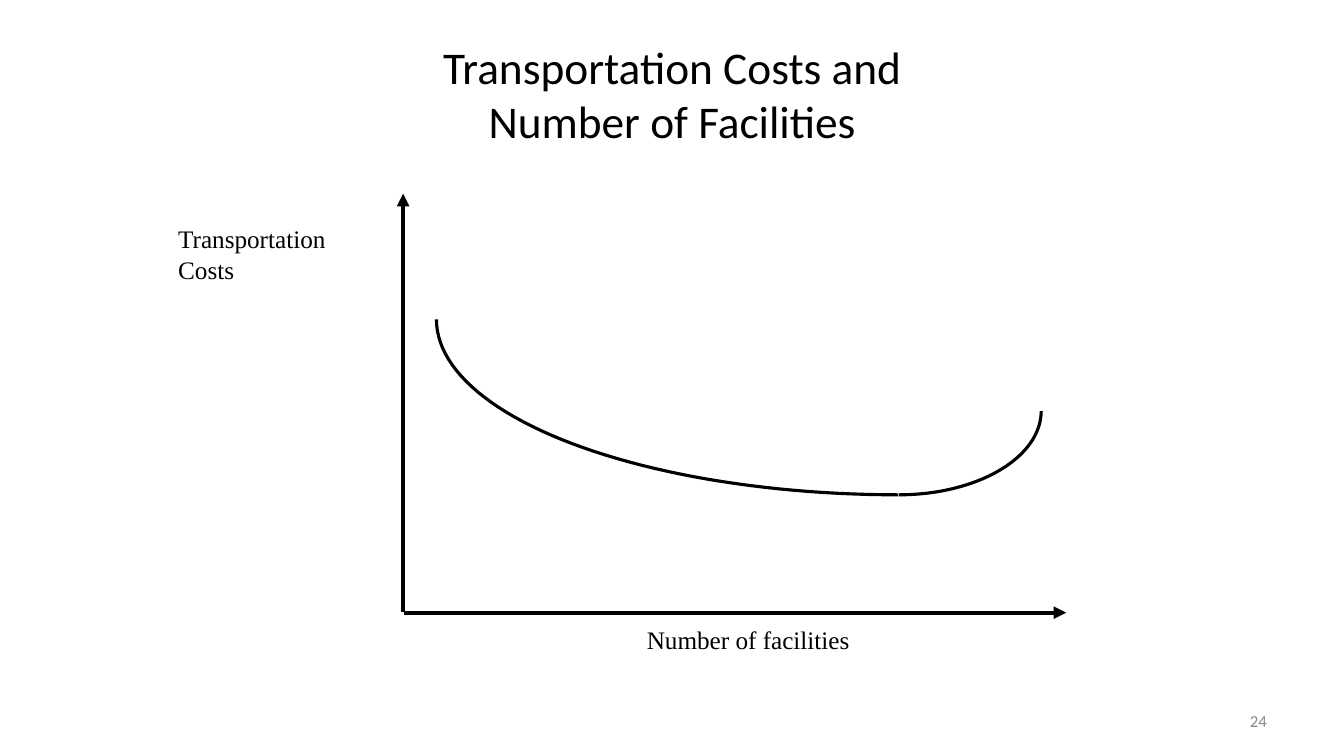
"""Build the slide on transportation costs and number of facilities."""
import math
from dataclasses import dataclass

import pptx
import pptx.dml.color
import pptx.enum.shapes
import pptx.enum.text
import pptx.oxml
import pptx.oxml.ns
import pptx.util

Cm = pptx.util.Cm
Pt = pptx.util.Pt
Align = pptx.enum.text.PP_ALIGN
Anchor = pptx.enum.text.MSO_ANCHOR


@dataclass
class Theme:
    ink: str = "000000"
    gray: str = "898989"
    head: str = "Calibri"
    body: str = "Times New Roman"
    title: float = 32.4
    label: float = 18
    small: float = 12
    axis: float = 3
    curve: float = 2.25


theme = Theme()
SIZE = (33.87, 19.05)
TITLE = ("Transportation Costs and\vNumber of Facilities", (1.7, 0.76, 30.48, 3.18))
LABELS = [
    ("Transportation\nCosts", (4.24, 5.51, 4.27, 1.78)),
    ("Number of facilities", (16.05, 15.6, 5.66, 1.02)),
]
NUMBER = ("24", (24.28, 17.65, 7.9, 1.02))
AXES = [
    ((10.16, 15.43), (10.16, 4.88)),
    ((10.19, 15.44), (26.87, 15.44)),
]
CURVES = [
    {"center": (22.64, 8.05), "radii": (-11.64, 4.42)},
    {"center": (22.66, 10.36), "radii": (3.58, 2.11)},
]
STEPS = 48


def color(code):
    return pptx.dml.color.RGBColor.from_string(code)


def write(frame, text, font, size, ink, align, anchor, wrap):
    frame.text = text
    frame.word_wrap = wrap
    frame.auto_size = pptx.enum.text.MSO_AUTO_SIZE.NONE
    frame.vertical_anchor = anchor
    for para in frame.paragraphs:
        para.alignment = align
        for run in para.runs:
            run.font.name = font
            run.font.size = Pt(size)
            run.font.color.rgb = color(ink)


def add_text(slide, text, box, *style):
    shape = slide.shapes.add_textbox(*map(Cm, box))
    write(shape.text_frame, text, *style)


def stroke(shape, width):
    shape.line.color.rgb = color(theme.ink)
    shape.line.width = Pt(width)


def add_axis(slide, start, end):
    kind = pptx.enum.shapes.MSO_CONNECTOR.STRAIGHT
    axis = slide.shapes.add_connector(kind, *map(Cm, start + end))
    stroke(axis, theme.axis)
    tip = pptx.oxml.parse_xml(
        f'<a:tailEnd {pptx.oxml.ns.nsdecls("a")} type="triangle"/>')
    axis.line._get_or_add_ln().append(tip)
    flat = pptx.oxml.parse_xml(f'<a:effectLst {pptx.oxml.ns.nsdecls("a")}/>')
    axis._element.spPr.append(flat)


def add_curve(slide, center, radii):
    points = []
    for step in range(STEPS + 1):
        turn = math.pi / 2 * step / STEPS
        points.append((
            Cm(center[0] + radii[0] * math.cos(turn)),
            Cm(center[1] + radii[1] * math.sin(turn)),
        ))
    path = slide.shapes.build_freeform(*points[0])
    path.add_line_segments(points[1:], close=False)
    curve = path.convert_to_shape()
    curve.shadow.inherit = False
    curve.fill.background()
    stroke(curve, theme.curve)


def main():
    deck = pptx.Presentation()
    deck.slide_width, deck.slide_height = map(Cm, SIZE)
    slide = deck.slides.add_slide(deck.slide_layouts[5])
    text, box = TITLE
    title = slide.shapes.title
    title.left, title.top, title.width, title.height = map(Cm, box)
    write(title.text_frame, text, theme.head, theme.title, theme.ink,
          Align.CENTER, Anchor.MIDDLE, True)
    for start, end in AXES:
        add_axis(slide, start, end)
    for text, box in LABELS:
        add_text(slide, text, box, theme.body, theme.label, theme.ink,
                 Align.LEFT, Anchor.TOP, False)
    for curve in CURVES:
        add_curve(slide, **curve)
    add_text(slide, *NUMBER, theme.head, theme.small, theme.gray,
             Align.RIGHT, Anchor.MIDDLE, True)
    deck.save("out.pptx")


if __name__ == "__main__":
    main()
